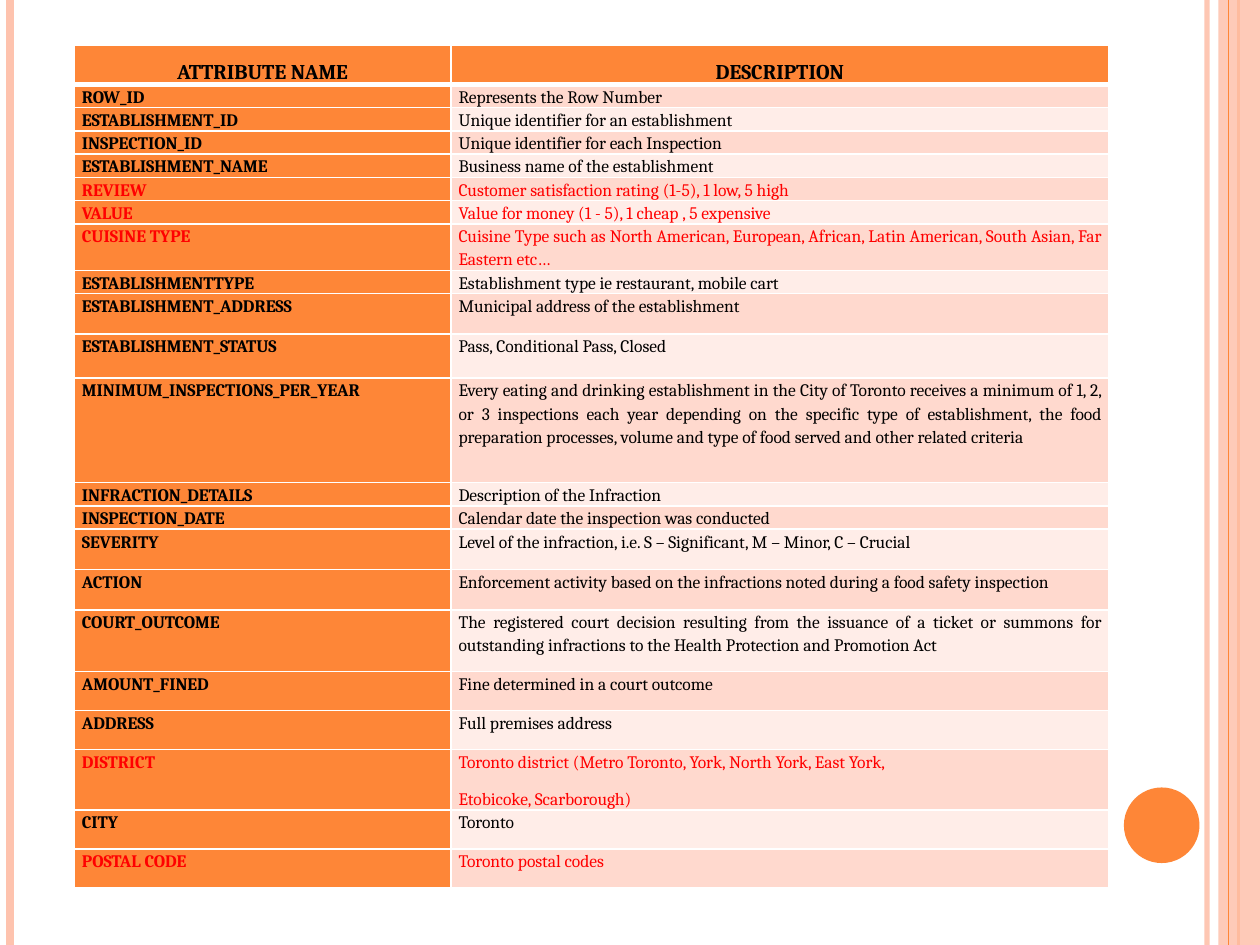
from dataclasses import dataclass

from lxml import etree
from pptx import Presentation
from pptx import util as u
from pptx.dml.color import RGBColor
from pptx.enum import shapes, text
from pptx.oxml.ns import qn


@dataclass(frozen=True)
class Theme:
    font: str = "Cambria"
    header_size: int = 12
    body_size: int = 10
    ink: str = "000000"
    highlight: str = "FF0000"
    accent: str = "FE8637"
    stripe: str = "FEC3AE"
    bands: tuple = ("FFD9CE", "FFEDE8")
    border: str = "FFFFFF"


HEADER = ("ATTRIBUTE NAME", "DESCRIPTION")
HEADER_HEIGHT = 0.31
COLUMN_WIDTHS = (2.99, 5.22)
HIGHLIGHTED = {"REVIEW", "VALUE", "CUISINE TYPE", "DISTRICT", "POSTAL CODE"}

# Attribute, description (one paragraph per line), row height in inches
ATTRIBUTES = [
    ("ROW_ID", "Represents the Row Number", 0.17),
    ("ESTABLISHMENT_ID", "Unique identifier for an establishment", 0.17),
    ("INSPECTION_ID", "Unique identifier for each Inspection", 0.17),
    ("ESTABLISHMENT_NAME", "Business name of the establishment", 0.17),
    ("REVIEW", "Customer satisfaction rating (1-5), 1 low, 5 high", 0.17),
    ("VALUE", "Value for money (1 - 5), 1 cheap , 5 expensive", 0.17),
    ("CUISINE TYPE", "Cuisine Type such as North American, European, African, "
     "Latin American, South Asian, Far Eastern etc…", 0.32),
    ("ESTABLISHMENTTYPE", "Establishment type ie restaurant, mobile cart", 0.17),
    ("ESTABLISHMENT_ADDRESS", "Municipal address of the establishment", 0.32),
    ("ESTABLISHMENT_STATUS", "Pass, Conditional Pass, Closed", 0.35),
    ("MINIMUM_INSPECTIONS_PER_YEAR", "Every eating and drinking establishment in the "
     "City of Toronto receives a minimum of 1, 2, or 3 inspections each year depending "
     "on the specific type of establishment, the food preparation processes, volume and "
     "type of food served and other related criteria", 0.83),
    ("INFRACTION_DETAILS", "Description of the Infraction", 0.17),
    ("INSPECTION_DATE", "Calendar date the inspection was conducted", 0.17),
    ("SEVERITY", "Level of the infraction, i.e. S – Significant, M – Minor, C – Crucial", 0.32),
    ("ACTION", "Enforcement activity based on the infractions noted during a food "
     "safety inspection", 0.32),
    ("COURT_OUTCOME", "The registered court decision resulting from the issuance of a "
     "ticket or summons for outstanding infractions to the Health Protection and "
     "Promotion Act", 0.49),
    ("AMOUNT_FINED", "Fine determined in a court outcome", 0.31),
    ("ADDRESS", "Full premises address", 0.31),
    ("DISTRICT", "Toronto district (Metro Toronto, York, North York, East York,\n"
     "Etobicoke, Scarborough)", 0.45),
    ("CITY", "Toronto", 0.31),
    ("POSTAL CODE", "Toronto postal codes", 0.31),
]


def rgb(color):
    return RGBColor.from_string(color)


def set_opacity(fill_parent, percent):
    color = next(fill_parent.iter(qn("a:srgbClr")))
    etree.SubElement(color, qn("a:alpha"), val=str(percent * 1000))


class SlideBuilder:
    def __init__(self, page, theme):
        self.page = page
        self.theme = theme

    def vertical_line(self, x, color, width, opacity=100):
        line = self.page.shapes.add_connector(
            shapes.MSO_CONNECTOR.STRAIGHT, u.Inches(x), 0, u.Inches(x), u.Inches(7.5))
        line.line.color.rgb = rgb(color)
        line.line.width = u.Pt(width)
        properties = line._element.spPr
        if opacity < 100:
            set_opacity(properties, opacity)
        etree.SubElement(properties, qn("a:effectLst"))

    def shape(self, kind, left, top, width, height, color, opacity=100):
        shape = self.page.shapes.add_shape(
            kind, *(u.Inches(length) for length in (left, top, width, height)))
        shape.shadow.inherit = False
        shape.fill.solid()
        shape.fill.fore_color.rgb = rgb(color)
        shape.line.fill.background()
        if opacity < 100:
            set_opacity(shape._element.spPr, opacity)

    def borders(self, cell, top=1, bottom=1):
        """Add the four cell borders; call before the fill, which must follow them."""
        properties = cell._tc.get_or_add_tcPr()
        for side, width in (("L", 1), ("R", 1), ("T", top), ("B", bottom)):
            line = etree.SubElement(properties, qn(f"a:ln{side}"), w=str(u.Pt(width)))
            fill = etree.SubElement(line, qn("a:solidFill"))
            etree.SubElement(fill, qn("a:srgbClr"), val=self.theme.border)

    def cell(self, cell, words, fill, color, size, bold, align):
        cell.fill.solid()
        cell.fill.fore_color.rgb = rgb(fill)
        cell.margin_left = cell.margin_right = u.Inches(0.06)
        cell.margin_top = cell.margin_bottom = 0
        cell.text_frame.text = words
        for para in cell.text_frame.paragraphs:
            para.alignment = align
            para.line_spacing = 1.15
            para.space_before = u.Pt(8)
            para.font.name = self.theme.font
            para.font.size = u.Pt(size)
            para.font.bold = bold
            para.font.color.rgb = rgb(color)

    def attribute_table(self, left, top):
        theme = self.theme
        heights = [HEADER_HEIGHT] + [height for *_, height in ATTRIBUTES]
        table = self.page.shapes.add_table(
            len(heights), len(HEADER), u.Inches(left), u.Inches(top),
            u.Inches(sum(COLUMN_WIDTHS)), u.Inches(sum(heights))).table
        for column, width in zip(table.columns, COLUMN_WIDTHS):
            column.width = u.Inches(width)
        for row, height in zip(table.rows, heights):
            row.height = u.Inches(height)

        for index, words in enumerate(HEADER):
            cell = table.cell(0, index)
            self.borders(cell, bottom=3)
            self.cell(cell, words, theme.accent, theme.ink, theme.header_size,
                      True, text.PP_ALIGN.CENTER)
            cell.vertical_anchor = text.MSO_ANCHOR.BOTTOM

        for row, (name, description, _) in enumerate(ATTRIBUTES, start=1):
            color = theme.highlight if name in HIGHLIGHTED else theme.ink
            fills = (theme.accent, theme.bands[(row - 1) % 2])
            for index, words in enumerate((name, description)):
                cell = table.cell(row, index)
                self.borders(cell, top=3 if row == 1 else 1)
                self.cell(cell, words, fills[index], color, theme.body_size,
                          index == 0, text.PP_ALIGN.JUSTIFY)


def main():
    deck = Presentation()
    deck.slide_width, deck.slide_height = u.Inches(10), u.Inches(7.5)
    theme = Theme()
    blank_layout = deck.slide_layouts[6]
    builder = SlideBuilder(deck.slides.add_slide(blank_layout), theme)

    builder.vertical_line(9.58, theme.stripe, 3, opacity=93)
    builder.vertical_line(0.08, theme.stripe, 4.5)
    builder.vertical_line(9.83, theme.accent, 1.5)
    builder.shape(shapes.MSO_SHAPE.RECTANGLE, 9.67, 0, 0.33, 7.5, theme.stripe, opacity=87)
    builder.vertical_line(9.75, theme.accent, 0.75)
    builder.shape(shapes.MSO_SHAPE.OVAL, 8.92, 6.25, 0.6, 0.6, theme.accent)
    builder.attribute_table(0.59, 0.36)

    deck.save("out.pptx")


if __name__ == "__main__":
    main()
